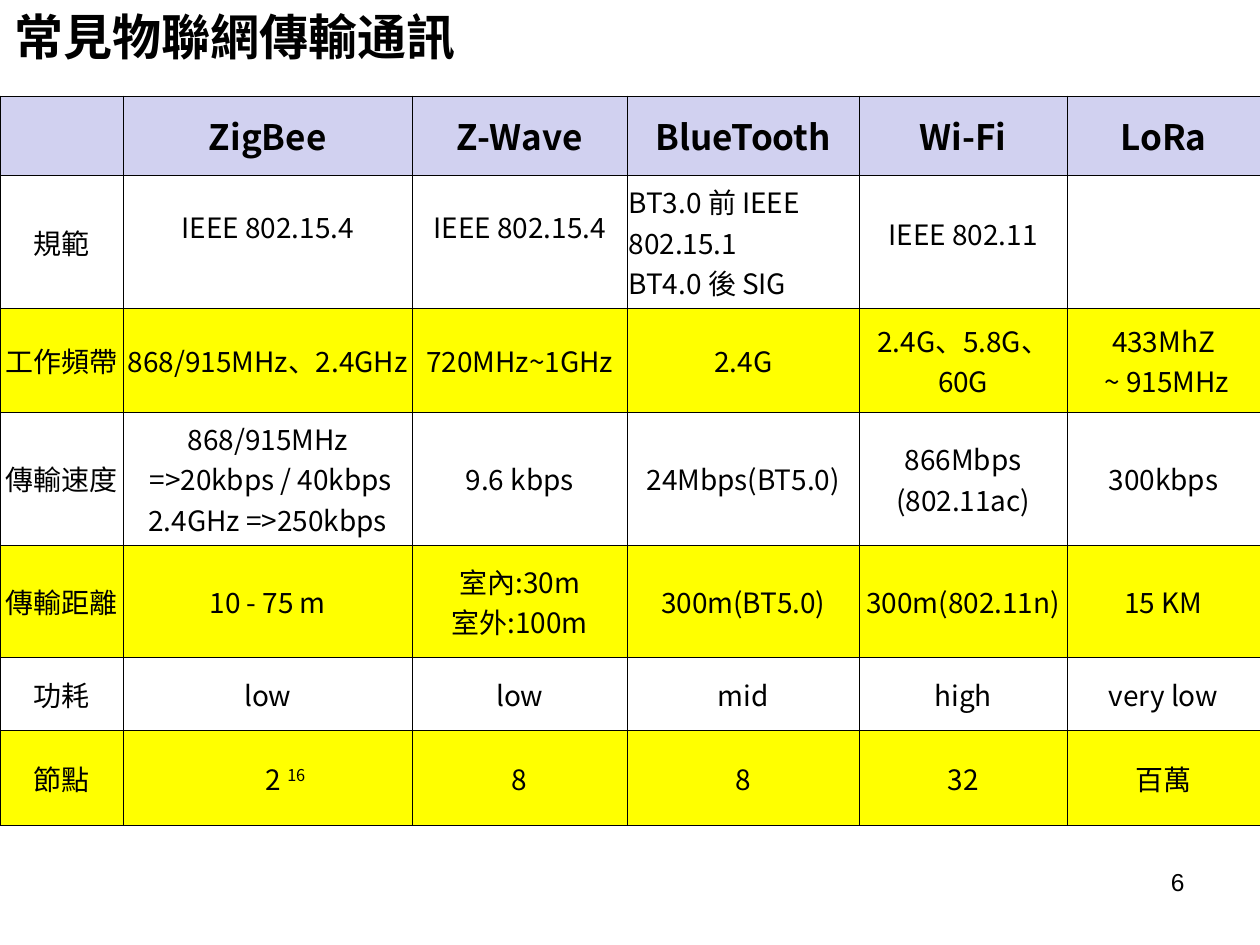
from lxml.etree import SubElement
from pptx import Presentation
from pptx.dml.color import RGBColor as RGB
from pptx.enum.text import MSO_ANCHOR as ANCHOR, PP_ALIGN as ALIGN
from pptx.oxml.ns import qn
from pptx.util import Inches, Pt

COLORS = {"text": "000000", "header": "D1D1F0", "band": "FFFF00", "border": "000000"}
CJK = "Noto Sans CJK TC"
COLS = [0.98, 2.29, 1.71, 1.84, 1.65, 1.53]
ROWS = [0.63, 1.06, 0.82, 1.06, 0.89, 0.58, 0.75]
DATA = [
    ["", "ZigBee", "Z-Wave", "BlueTooth", "Wi-Fi", "LoRa"],
    ["規範", "IEEE 802.15.4", "IEEE 802.15.4",
     "BT3.0 前 IEEE 802.15.1\vBT4.0 後 SIG", "IEEE 802.11", ""],
    ["工作頻帶", "868/915MHz、2.4GHz", "720MHz~1GHz", "2.4G",
     "2.4G、5.8G、60G", "433MhZ\n ~ 915MHz"],
    ["傳輸速度", "868/915MHz\n =>20kbps / 40kbps\v2.4GHz =>250kbps", "9.6 kbps",
     "24Mbps(BT5.0)", "866Mbps (802.11ac)", "300kbps"],
    ["傳輸距離", "10 - 75 m", "室內:30m\n室外:100m", "300m(BT5.0)",
     "300m(802.11n)", "15 KM"],
    ["功耗", "low", "low", "mid", "high", "very low"],
    ["節點", "2 ", "8", "8", "32", "百萬"],
]


class SlideBuilder:
    def __init__(self, s):
        self.s = s

    def style_run(self, r, size, font=CJK, bold=False):
        r.font.size = Pt(size)
        r.font.bold = bold
        r.font.name = font
        r.font.color.rgb = RGB.from_string(COLORS["text"])
        SubElement(r.font._element, qn("a:ea"), typeface=font)

    def style(self, tf, size, align=ALIGN.LEFT, **font):
        for p in tf.paragraphs:
            p.alignment = align
            for r in p.runs:
                self.style_run(r, size, **font)

    def text(self, text, x, y, w, h, size, **style):
        tf = self.s.shapes.add_textbox(Inches(x), Inches(y), Inches(w), Inches(h)).text_frame
        tf.word_wrap = True
        tf.text = text
        self.style(tf, size, **style)

    def border(self, cell):
        tc_pr = cell._tc.get_or_add_tcPr()
        for side in ("lnL", "lnR", "lnT", "lnB"):
            line = SubElement(tc_pr, qn(f"a:{side}"), w=str(Pt(0.23)))
            fill = SubElement(line, qn("a:solidFill"))
            SubElement(fill, qn("a:srgbClr"), val=COLORS["border"])

    def cell(self, cell, text, fill, size, bold):
        cell.margin_left = cell.margin_right = Inches(0.01)
        cell.margin_top = cell.margin_bottom = Inches(0.05)
        cell.vertical_anchor = ANCHOR.MIDDLE
        self.border(cell)
        if fill:
            cell.fill.solid()
            cell.fill.fore_color.rgb = RGB.from_string(COLORS[fill])
        else:
            cell.fill.background()
        cell.text_frame.text = text
        self.style(cell.text_frame, size, bold=bold, align=ALIGN.CENTER)

    def table(self, data, x, y, cols, rows):
        frame = self.s.shapes.add_table(len(rows), len(cols), Inches(x), Inches(y),
                                        Inches(sum(cols)), Inches(sum(rows)))
        table = frame.table
        table.first_row = table.horz_banding = False
        for column, width in zip(table.columns, cols):
            column.width = Inches(width)
        for i, (row, height) in enumerate(zip(table.rows, rows)):
            row.height = Inches(height)
            header = i == 0
            fill = "header" if header else "band" if i % 2 == 0 else None
            for cell, text in zip(row.cells, data[i]):
                self.cell(cell, text, fill, 20 if header else 16, header)
        return table

    def superscript(self, cell, text):
        r = cell.text_frame.paragraphs[0].add_run()
        r.text = text
        self.style_run(r, 16)
        r.font._element.set("baseline", "30000")


def main():
    prs = Presentation()
    prs.slide_width, prs.slide_height = Inches(10), Inches(7.5)
    slide = SlideBuilder(prs.slides.add_slide(prs.slide_layouts[6]))

    slide.text("6", 7.17, 6.83, 2.33, 0.52, 14, font="Arial", align=ALIGN.RIGHT)
    table = slide.table(DATA, 0, 0.76, COLS, ROWS)
    for col, bottom in ((1, 0.29), (2, 0.29), (4, 0.19)):
        table.cell(1, col).margin_bottom = Inches(bottom)
    table.cell(1, 3).text_frame.paragraphs[0].alignment = ALIGN.LEFT
    nodes = table.cell(6, 1)
    nodes.margin_left = Inches(0.29)
    slide.superscript(nodes, "16")
    slide.text("常見物聯網傳輸通訊", 0.02, 0, 4, 0.57, 28, bold=True)

    prs.save("out.pptx")


if __name__ == "__main__":
    main()
